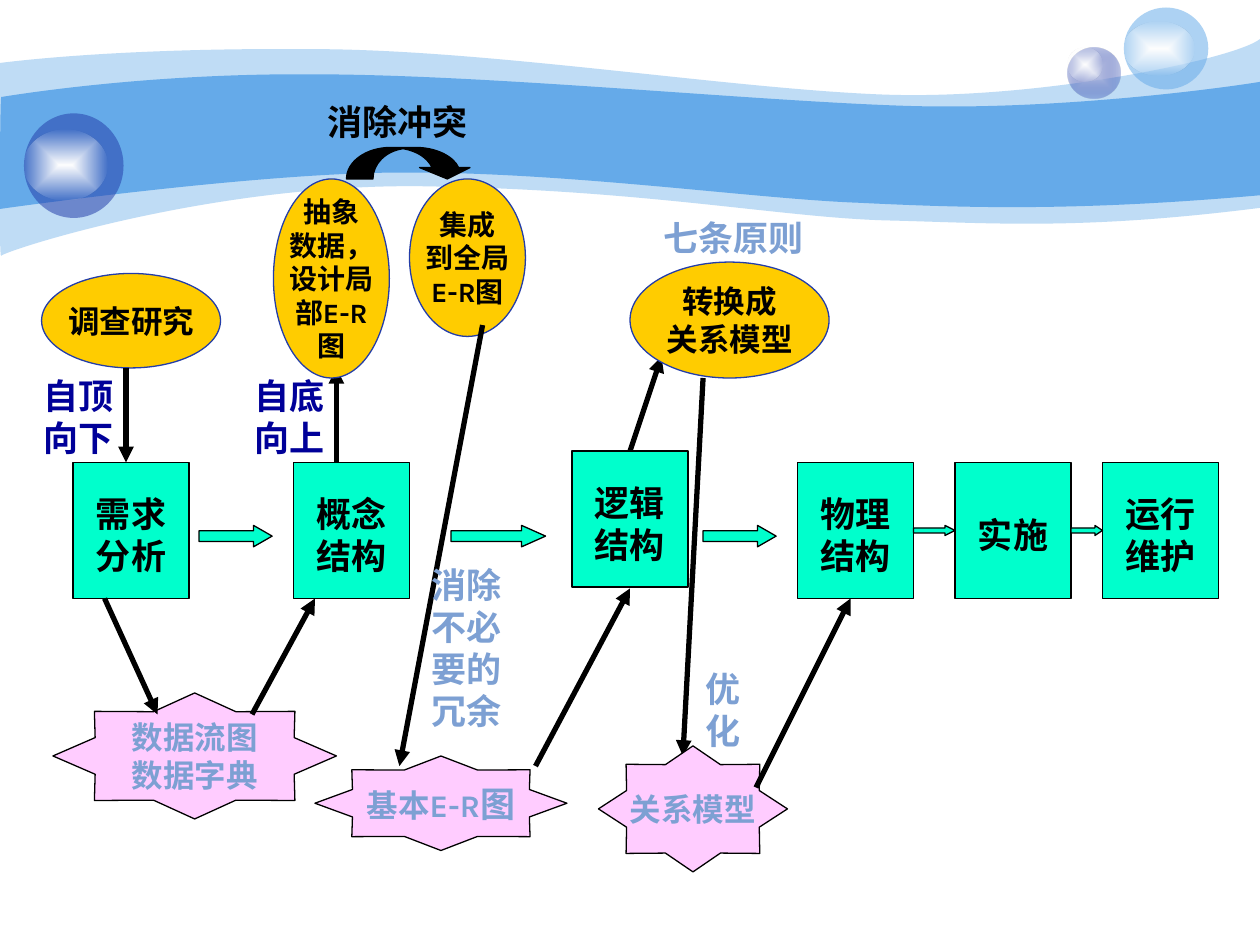
from lxml import etree
from pptx import Presentation
from pptx import util as u
from pptx.dml.color import RGBColor
from pptx.enum import shapes as sh, text as tx
from pptx.oxml import ns

SKY = RGBColor(0x65, 0xAA, 0xE9)
NAVY = RGBColor(0x23, 0x3D, 0xA9)
MINT = RGBColor(0x00, 0xFF, 0xCC)
GOLD = RGBColor(0xFF, 0xCC, 0x00)
PINK = RGBColor(0xFF, 0xCC, 0xFF)
BLACK = RGBColor(0, 0, 0)
MUTED = RGBColor(0x7D, 0xA0, 0xD3)
INDIGO = RGBColor(0x00, 0x00, 0x99)
WHITE = RGBColor(0xFF, 0xFF, 0xFF)
CLEAR = RGBColor(0xFE, 0xFE, 0xFE)
PALE = RGBColor(0xC6, 0xCC, 0xE8)
FONT = "Karla"

PALE_WAVE = [
    (0, 0.5), (0.24, 0.47, 1.07, 0.38, 2.47, 0.39), (3.86, 0.39, 5.75, 0.7, 6.99, 0.75),
    (8.22, 0.8, 9.8, 0.47, 10, 0.31), (10, 1.65), (8.58, 1.83, 7.87, 1.77, 7.05, 1.75),
    (6.22, 1.73, 5.15, 1.51, 3.43, 1.48), (1.72, 1.44, 0.04, 1.99, 0.01, 2.03),
    (-0.01, 2.08, 0, 0.75, 0, 0.5)]
DEEP_WAVE = [
    (0.01, 0.77), (0.02, 0.77, 1.1, 0.58, 2.48, 0.59), (3.86, 0.59, 5.95, 0.8, 7.18, 0.84),
    (8.41, 0.88, 9.76, 0.69, 10, 0.65), (10, 1.55), (8.53, 1.68, 7.65, 1.65, 6.82, 1.61),
    (5.99, 1.58, 4.47, 1.36, 3.17, 1.37), (2.03, 1.37, -0.02, 1.66, -0.01, 1.66),
    (0, 1.66, 0, 0.77, 0.01, 0.77)]
MERGE_ARROW = [
    (2.75, 1.42), (2.75, 1.28, 2.91, 1.17, 3.1, 1.17), (3.3, 1.17),
    (3.46, 1.17, 3.6, 1.24, 3.64, 1.33), (3.73, 1.33), (3.55, 1.42), (3.33, 1.33),
    (3.43, 1.33), (3.39, 1.25, 3.31, 1.2, 3.2, 1.18),
    (3.06, 1.2, 2.96, 1.3, 2.96, 1.42), (2.75, 1.42)]

SOLID_BUBBLES = [
    ((8.92, 0.06, 0.67, 0.65), SKY, (8.92, 0.17, 0.56, 0.43)),
    ((0.19, 0.9, 0.79, 0.83), NAVY, (0.19, 1.03, 0.66, 0.56))]
SMALL_BUBBLE = (8.47, 0.38, 0.42, 0.4)
SMALL_GLOW = (8.47, 0.38, 0.28, 0.27)

STAGES = [
    (0.58, 3.67, ["需求", "分析"]), (2.33, 3.67, ["概念", "结构"]),
    (4.54, 3.58, ["逻辑", "结构"]), (6.33, 3.67, ["物理", "结构"]),
    (7.58, 3.67, ["实施"]), (8.75, 3.67, ["运行", "维护"])]
STAGE_SIZE = (0.92, 1.08)
METHODS = [
    ((0.33, 2.17, 1.42, 0.75), 18, ["调查研究"]),
    ((2.17, 1.42, 0.92, 1.58), 16, ["抽象", "数据，", "设计局", "部E-R", "图"]),
    ((3.25, 1.42, 0.92, 1.25), 16, ["集成", "到全局", "E-R图"]),
    ((5, 2.08, 1.58, 0.92), 18, ["转换成", "关系模型"])]
RESULTS = [
    ((0.42, 5.5, 2.25, 1), [[("数据流图", 18)], [("数据字典", 18)]]),
    ((2.5, 6, 2, 0.75), [[("基本E-R", 18), ("图", 20)]]),
    ((4.75, 5.92, 1.5, 1), [[("关系模型", 18)]])]
NEXT_ARROWS = [
    (1.58, 0.58, 0.17, 0.87), (3.58, 0.75, 0.17, 1.12), (5.58, 0.58, 0.17, 0.87),
    (7.25, 0.33, 0.08, 1), (8.5, 0.25, 0.08, 0.75)]
NEXT_TOP = 4.17
BACK_LINKS = [(2.67, 3.67, 2.67, 2.92), (5, 3.58, 5.25, 2.83), (5.58, 3, 5.42, 6)]
FRONT_LINKS = [
    (2, 5.67, 2.5, 4.75), (0.83, 4.75, 1.25, 5.67), (1, 2.92, 1, 3.67),
    (3.83, 2.58, 3.17, 6.08), (4.25, 6.08, 5, 4.67), (6, 6.25, 6.75, 4.75)]
CAPTIONS = [
    ((0.25, 2.92, 1, 0.77), "自顶向下", INDIGO), ((1.92, 2.92, 1, 0.77), "自底向上", INDIGO),
    ((2.5, 0.75, 1.42, 0.44), "消除冲突", BLACK),
    ((3.33, 4.42, 0.92, 1.44), "消除不必要的冗余", MUTED),
    ((5.17, 1.67, 1.5, 0.44), "七条原则", MUTED), ((5.5, 5.25, 0.67, 0.77), "优化", MUTED)]

prs = Presentation()
prs.slide_width, prs.slide_height = u.Inches(10), u.Inches(7.5)
slide = prs.slides.add_slide(prs.slide_layouts[6])


def inches(lengths):
    return [u.Inches(length) for length in lengths]


def paint(shape, fill, line=None, opacity=100):
    shape.shadow.inherit = False
    shape.fill.solid()
    shape.fill.fore_color.rgb = fill
    if opacity < 100:
        color = shape.fill._xPr.find(".//" + ns.qn("a:srgbClr"))
        etree.SubElement(color, ns.qn("a:alpha"), val=str(opacity * 1000))
    if line is None:
        shape.line.fill.background()
    else:
        shape.line.color.rgb = line
        shape.line.width = u.Pt(0.75)
    return shape


def add_preset(kind, box, fill, line=None, opacity=100):
    return paint(slide.shapes.add_shape(kind, *inches(box)), fill, line, opacity)


def add_glow(box, center, edge, edge_opacity):
    glow = add_preset(sh.MSO_SHAPE.OVAL, box, center)
    solid = glow._element.spPr.find(ns.qn("a:solidFill"))
    gradient = etree.Element(ns.qn("a:gradFill"), rotWithShape="1")
    stops = etree.SubElement(gradient, ns.qn("a:gsLst"))
    for position, color, opacity in [(0, center, 100), (100, edge, edge_opacity)]:
        stop = etree.SubElement(stops, ns.qn("a:gs"), pos=str(position * 1000))
        rgb = etree.SubElement(stop, ns.qn("a:srgbClr"), val=str(color))
        etree.SubElement(rgb, ns.qn("a:alpha"), val=str(opacity * 1000))
    shade = etree.SubElement(gradient, ns.qn("a:path"), attrib={"path": "rect"})
    etree.SubElement(shade, ns.qn("a:fillToRect"), l="50000", t="50000", r="50000", b="50000")
    solid.getparent().replace(solid, gradient)


def add_outline(segments, fill, line=None, opacity=100):
    corners = [inches(segment[-2:]) for segment in segments]
    builder = slide.shapes.build_freeform(*corners[0])
    builder.add_line_segments(corners[1:], close=True)
    outline = builder.convert_to_shape()
    straights = list(outline._element.spPr.iter(ns.qn("a:lnTo")))
    for straight, segment in zip(straights, segments[1:]):
        if len(segment) == 6:
            curve = etree.Element(ns.qn("a:cubicBezTo"))
            for x, y in zip(inches(segment[::2]), inches(segment[1::2])):
                etree.SubElement(curve, ns.qn("a:pt"),
                                 x=str(x - outline.left), y=str(y - outline.top))
            straight.getparent().replace(straight, curve)
    paint(outline, fill, line, opacity)


def write(shape, lines, color, align=tx.PP_ALIGN.CENTER, anchor=tx.MSO_ANCHOR.MIDDLE, wrap=False):
    frame = shape.text_frame
    frame.word_wrap = wrap
    frame.vertical_anchor = anchor
    for index, pieces in enumerate(lines):
        paragraph = frame.paragraphs[0] if index == 0 else frame.add_paragraph()
        paragraph.alignment = align
        for words, size in pieces:
            run = paragraph.add_run()
            run.text = words
            run.font.name, run.font.size, run.font.bold = FONT, u.Pt(size), True
            run.font.color.rgb = color


def add_link(ends):
    link = slide.shapes.add_connector(sh.MSO_CONNECTOR.STRAIGHT, *inches(ends))
    link.line.color.rgb = BLACK
    link.line.width = u.Pt(3)
    etree.SubElement(link.line._get_or_add_ln(), ns.qn("a:tailEnd"), type="triangle")
    etree.SubElement(link._element.spPr, ns.qn("a:effectLst"))


add_outline(PALE_WAVE, SKY, opacity=41)
add_outline(DEEP_WAVE, SKY)
add_glow(SMALL_BUBBLE, PALE, NAVY, 31)
add_glow(SMALL_GLOW, WHITE, CLEAR, 0)
for bubble, color, glow in SOLID_BUBBLES:
    add_preset(sh.MSO_SHAPE.OVAL, bubble, color, opacity=53)
    add_glow(glow, WHITE, CLEAR, 0)

for left, top, words in STAGES:
    stage = add_preset(sh.MSO_SHAPE.RECTANGLE, (left, top, *STAGE_SIZE), MINT, BLACK)
    stage.text_frame.margin_top = u.Inches(0.12)
    write(stage, [[(line, 20)] for line in words], BLACK)

for ends in BACK_LINKS:
    add_link(ends)

for box, size, words in METHODS:
    method = add_preset(sh.MSO_SHAPE.OVAL, box, GOLD, NAVY)
    write(method, [[(line, size)] for line in words], BLACK)

for box, lines in RESULTS:
    result = add_preset(sh.MSO_SHAPE.STAR_8_POINT, box, PINK, BLACK)
    result.adjustments[0] = 0.38
    write(result, lines, MUTED)

add_outline(MERGE_ARROW, BLACK, BLACK)
for left, width, height, head in NEXT_ARROWS:
    following = add_preset(sh.MSO_SHAPE.RIGHT_ARROW, (left, NEXT_TOP, width, height), MINT, BLACK)
    following.adjustments[1] = head

for ends in FRONT_LINKS:
    add_link(ends)

for box, words, color in CAPTIONS:
    caption = slide.shapes.add_textbox(*inches(box))
    write(caption, [[(words, 20)]], color, tx.PP_ALIGN.LEFT, tx.MSO_ANCHOR.TOP, True)

prs.save("out.pptx")
